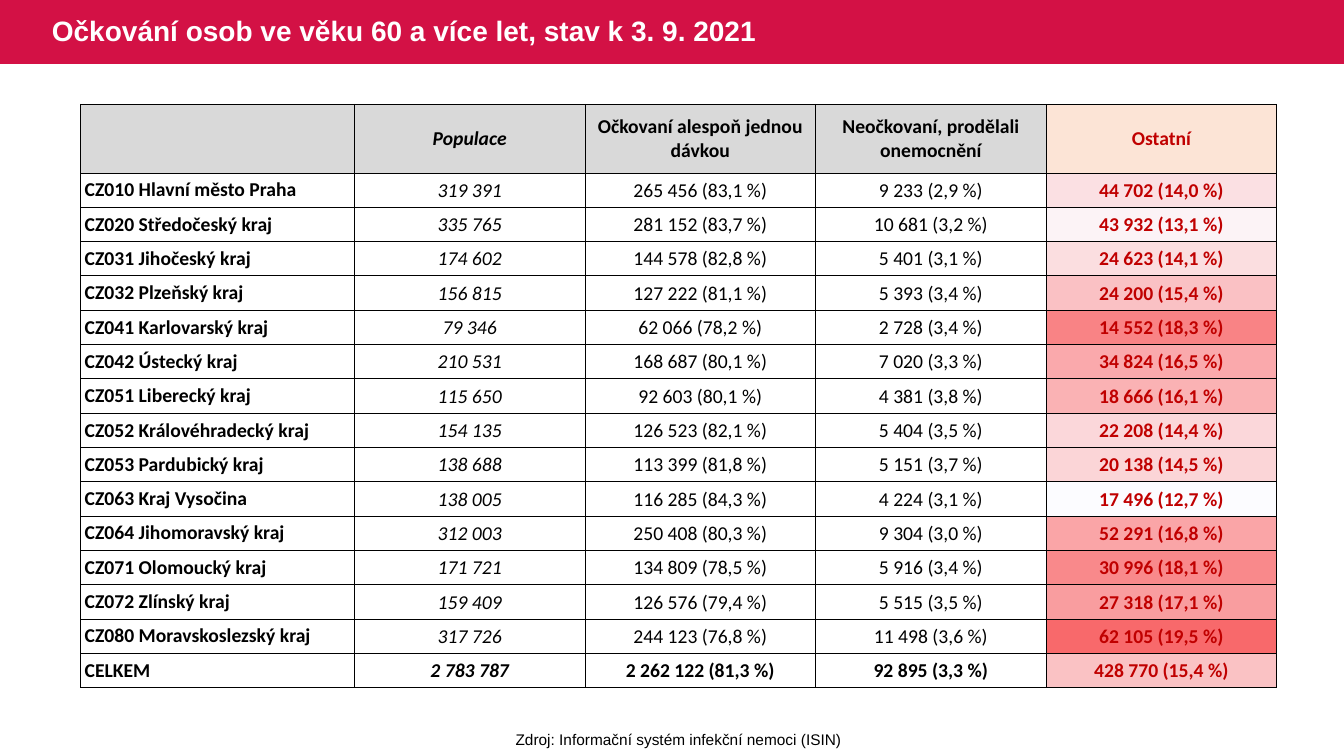
from dataclasses import dataclass

from lxml import etree
from pptx import Presentation
from pptx import util as u
from pptx.dml import color
from pptx.enum import shapes, text
from pptx.oxml import ns


@dataclass(frozen=True)
class Theme:
    banner: str = "D31145"
    white: str = "FFFFFF"
    black: str = "000000"
    header: str = "D9D9D9"
    accent_header: str = "FCE4D6"
    accent: str = "C00000"
    heat_low: str = "FCFCFF"
    heat_high: str = "F8696B"
    display_font: str = "Arial"
    table_font: str = "Calibri"
    title_size: int = 20
    table_size: int = 14
    source_size: int = 11
    border: float = 0.5


class SlideBuilder:
    """Draws styled elements on one slide, measured in a 16 by 9 grid."""

    NO_STYLE = "{2D5ABB26-0587-4C30-8999-92F81FD0307C}"

    def __init__(self, deck, theme):
        self.theme = theme
        self.page = deck.slides.add_slide(deck.slide_layouts[6])
        self.unit = deck.slide_width / 16

    def grid(self, *lengths):
        return [u.Emu(round(length * self.unit)) for length in lengths]

    def put_words(self, frame, words, align=text.PP_ALIGN.LEFT, ink=None, spacing=None, **font):
        para = frame.paragraphs[0]
        para.alignment = align
        if spacing:
            para.line_spacing = spacing
        span = para.add_run()
        span.text = words
        for name, value in font.items():
            setattr(span.font, name, value)
        span.font.color.rgb = color.RGBColor.from_string(ink or self.theme.black)

    def banner(self, *place):
        box = self.page.shapes.add_shape(shapes.MSO_SHAPE.RECTANGLE, *self.grid(*place))
        box.shadow.inherit = False
        box.fill.solid()
        box.fill.fore_color.rgb = color.RGBColor.from_string(self.theme.banner)
        box.line.fill.background()

    def label(self, place, words, frame_format, **style):
        box = self.page.shapes.add_textbox(*self.grid(*place))
        for name, value in frame_format.items():
            setattr(box.text_frame, name, value)
        self.put_words(box.text_frame, words, name=self.theme.display_font, **style)

    def table(self, place, widths, heights):
        frame = self.page.shapes.add_table(len(heights), len(widths), *self.grid(*place))
        table = frame.table
        table.first_row = table.horz_banding = False
        table._tbl.tblPr.find(ns.qn("a:tableStyleId")).text = self.NO_STYLE
        for column, width in zip(table.columns, self.grid(*widths)):
            column.width = width
        for row, height in zip(table.rows, self.grid(*heights)):
            row.height = height
        return table

    def cell(self, cell, fill=None, border=False, words="", margins=(0, 0, 0), **style):
        side, top, bottom = [u.Inches(margin) for margin in margins]
        settings = {
            "margin_left": side, "margin_right": side, "margin_top": top,
            "margin_bottom": bottom, "vertical_anchor": text.MSO_ANCHOR.MIDDLE,
        }
        for name, value in settings.items():
            setattr(cell, name, value)
        if border:
            self.borders(cell)
        if fill:
            cell.fill.solid()
            cell.fill.fore_color.rgb = color.RGBColor.from_string(fill)
        else:
            cell.fill.background()
        if words:
            self.put_words(cell.text_frame, words, name=self.theme.table_font,
                           size=u.Pt(self.theme.table_size), **style)

    def borders(self, cell):
        properties = cell._tc.get_or_add_tcPr()
        for side in ("lnL", "lnR", "lnT", "lnB"):
            line = etree.SubElement(properties, ns.qn(f"a:{side}"),
                                    w=str(u.Pt(self.theme.border)))
            fill = etree.SubElement(line, ns.qn("a:solidFill"))
            etree.SubElement(fill, ns.qn("a:srgbClr"), val=self.theme.black)

    def heat(self, ratio):
        low = color.RGBColor.from_string(self.theme.heat_low)
        high = color.RGBColor.from_string(self.theme.heat_high)
        return "".join(f"{round(a + (b - a) * ratio):02X}" for a, b in zip(low, high))


HEADERS = ["", "Populace", "Očkovaní alespoň jednou dávkou",
           "Neočkovaní, prodělali onemocnění", "Ostatní"]
REGIONS = [
    ("CZ010 Hlavní město Praha", 319391, 265456, 9233),
    ("CZ020 Středočeský kraj", 335765, 281152, 10681),
    ("CZ031 Jihočeský kraj", 174602, 144578, 5401),
    ("CZ032 Plzeňský kraj", 156815, 127222, 5393),
    ("CZ041 Karlovarský kraj", 79346, 62066, 2728),
    ("CZ042 Ústecký kraj", 210531, 168687, 7020),
    ("CZ051 Liberecký kraj", 115650, 92603, 4381),
    ("CZ052 Královéhradecký kraj", 154135, 126523, 5404),
    ("CZ053 Pardubický kraj", 138688, 113399, 5151),
    ("CZ063 Kraj Vysočina", 138005, 116285, 4224),
    ("CZ064 Jihomoravský kraj", 312003, 250408, 9304),
    ("CZ071 Olomoucký kraj", 171721, 134809, 5916),
    ("CZ072 Zlínský kraj", 159409, 126576, 5515),
    ("CZ080 Moravskoslezský kraj", 317726, 244123, 11498),
    ("CELKEM", 2783787, 2262122, 92895),
]


def grouped(number):
    return f"{number:,}".replace(",", " ")


def with_share(number, population):
    share = f"{100 * number / population:.1f}".replace(".", ",")
    return f"{grouped(number)} ({share} %)"


def add_heat_strip(builder, place, row):
    shares = [1 - (vaccinated + recovered) / population
              for _, population, vaccinated, recovered in REGIONS]
    lowest, highest = min(shares), max(shares)
    strip = builder.table(place, [place[2]], [row] * len(shares))
    for index, share in enumerate(shares):
        ratio = (share - lowest) / (highest - lowest)
        builder.cell(strip.cell(index, 0), builder.heat(ratio))


def add_region_table(builder, place, widths, row):
    theme = builder.theme
    center = text.PP_ALIGN.CENTER
    table = builder.table(place, widths, [2 * row] + [row] * len(REGIONS))
    for column, words in enumerate(HEADERS):
        last = column == len(HEADERS) - 1
        builder.cell(table.cell(0, column), theme.accent_header if last else theme.header,
                     True, words, (0.04, 0, 0), align=center, bold=True,
                     italic=column == 1, ink=theme.accent if last else theme.black)
    for index, (region, population, *groups) in enumerate(REGIONS, 1):
        groups.append(population - sum(groups))
        values = [region, grouped(population)]
        values += [with_share(group, population) for group in groups]
        for column, words in enumerate(values):
            name, last = column == 0, column == len(values) - 1
            builder.cell(table.cell(index, column), None, True, words,
                         (0.04, 0, 0) if name else (0.01, 0.01, 0),
                         align=text.PP_ALIGN.LEFT if name else center,
                         bold=name or last or region == "CELKEM", italic=column == 1,
                         ink=theme.accent if last else theme.black)


def main():
    deck = Presentation()
    deck.slide_width, deck.slide_height = u.Inches(40 / 3), u.Inches(7.5)
    theme = Theme()
    builder = SlideBuilder(deck, theme)
    left, top, width, height = 0.96, 1.24, 14.24, 6.95
    row = height / (len(REGIONS) + 2)
    name_width = 3.26
    value_width = (width - name_width) / 4

    builder.banner(0, 0, 16, 0.76)
    add_heat_strip(builder, (left + width - value_width, top + 2 * row,
                             value_width, height - 2 * row), row)
    builder.label((0.5, 0, 9.94, 0.76), "Očkování osob ve věku 60 a více let, stav k 3. 9. 2021",
                  {"word_wrap": True, "vertical_anchor": text.MSO_ANCHOR.MIDDLE},
                  size=u.Pt(theme.title_size), bold=True, ink=theme.white, spacing=0.9)
    add_region_table(builder, (left, top, width, height),
                     [name_width] + [value_width] * 4, row)
    builder.label((6.01, 8.63, 4.14, 0.35), "Zdroj: Informační systém infekční nemoci (ISIN)",
                  {"word_wrap": False, "auto_size": text.MSO_AUTO_SIZE.SHAPE_TO_FIT_TEXT},
                  size=u.Pt(theme.source_size), align=text.PP_ALIGN.CENTER)
    deck.save("out.pptx")


if __name__ == "__main__":
    main()
